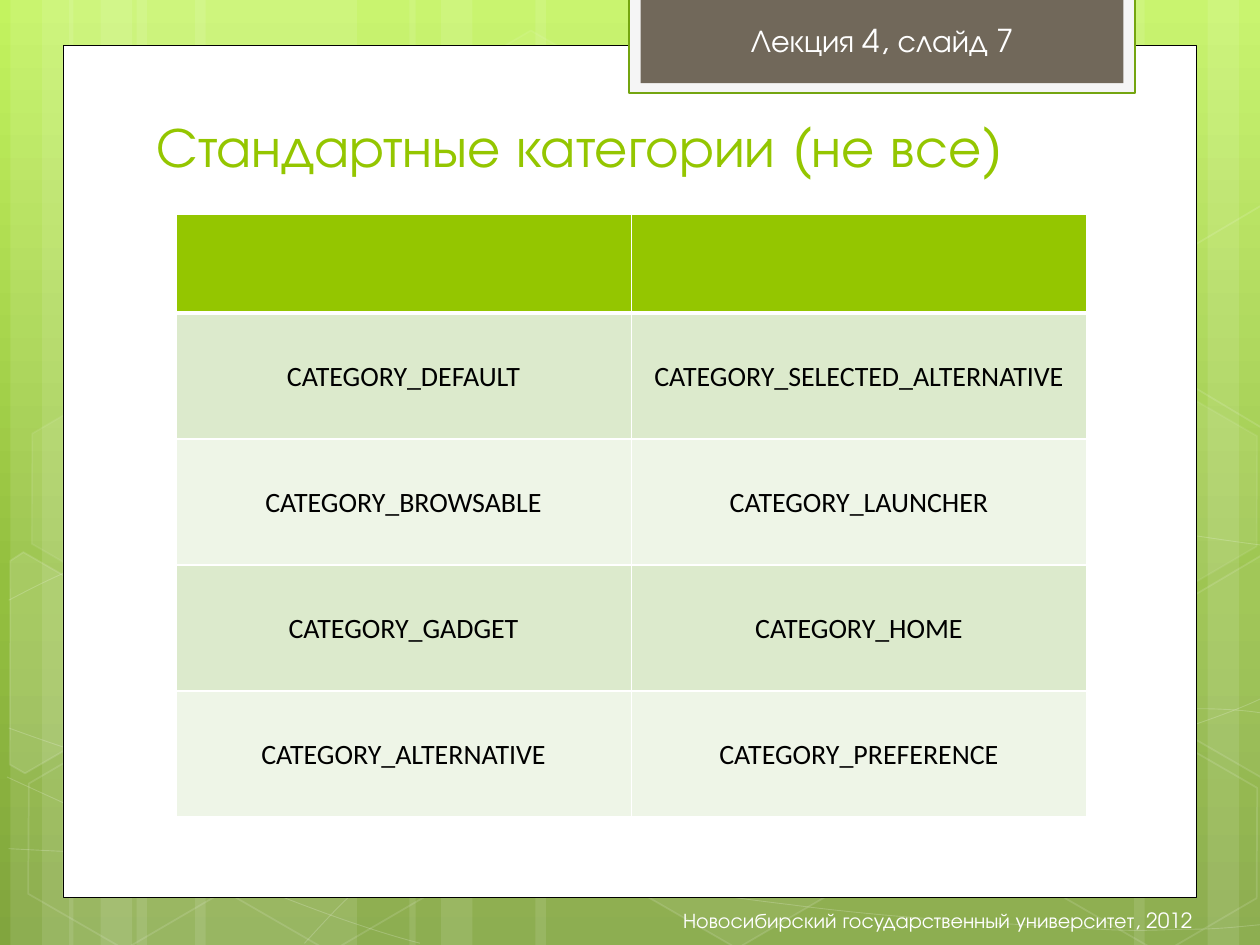
from copy import deepcopy
from math import cos, radians, sin
from lxml import etree
from pptx import Presentation
from pptx.dml.color import RGBColor
from pptx.enum.lang import MSO_LANGUAGE_ID
from pptx.enum.shapes import MSO_SHAPE
from pptx.enum.text import MSO_ANCHOR, MSO_AUTO_SIZE, PP_ALIGN
from pptx.oxml.ns import qn
from pptx.util import Pt

RECT, HEXAGON = MSO_SHAPE.RECTANGLE, MSO_SHAPE.HEXAGON
LEFT, CENTER, RIGHT = PP_ALIGN.LEFT, PP_ALIGN.CENTER, PP_ALIGN.RIGHT
TOP, MIDDLE, BOTTOM = MSO_ANCHOR.TOP, MSO_ANCHOR.MIDDLE, MSO_ANCHOR.BOTTOM
RUSSIAN = MSO_LANGUAGE_ID.RUSSIAN
FONT, CELL_FONT = "TeX Gyre Adventor", "Calibri"
WHITE, BLACK, GREEN = "FFFFFF", "000000", "94C600"

TITLE = "Стандартные категории (не все)"
LECTURE = "Лекция 4, слайд 7"
FOOTER = "Новосибирский государственный университет, 2012"
ROWS = [
    ("", ""),
    ("CATEGORY_DEFAULT", "CATEGORY_SELECTED_ALTERNATIVE"),
    ("CATEGORY_BROWSABLE", "CATEGORY_LAUNCHER"),
    ("CATEGORY_GADGET", "CATEGORY_HOME"),
    ("CATEGORY_ALTERNATIVE", "CATEGORY_PREFERENCE"),
]
BANDS = ["DCEACC", "EEF5E7"]
HEAD_H, ROW_H, COL_W = 56.5, 72, 260.25

SKY = [(0, "C3F35F"), (0.62, "93BF3F"), (1, "81A53E")]
# left, width, turn
STRIPES = [(78, 126, 0), (6, 36, 0), (24, 60, 0), (111.5, 126, 0), (39.5, 36, 0),
           (57.5, 60, 0), (528, 126, 180), (690, 36, 180), (648, 60, 180),
           (306, 222, 0), (234, 36, 0), (252, 60, 0)]
# start point, then two handles and an end point for each Bezier piece
CURVES = [
    [(5, 485), (44, 487), (83, 489), (137, 488), (191, 487), (258, 486), (330, 479),
     (402, 472), (504, 458), (570, 444), (636, 431), (703, 409), (725, 397)],
    [(5, 343), (26, 332), (47, 321), (87, 310), (128, 300), (186, 284), (250, 279),
     (314, 274), (392, 273), (471, 279), (550, 284), (682, 307), (725, 312)],
    [(4, 444), (91, 484), (178, 523), (240, 539)],
    [(5, 416), (27, 424), (50, 432), (92, 444), (134, 454), (197, 472), (257, 485),
     (317, 497), (392, 510), (452, 517), (512, 525), (576, 528), (614, 530),
     (652, 533), (662, 531), (680, 531), (699, 531), (712, 529), (725, 528)],
    [(174, 539), (187, 525), (200, 510), (217, 498), (235, 485), (259, 470), (279, 460),
     (300, 450), (312, 446), (338, 438), (364, 431), (413, 421), (438, 416),
     (464, 411), (467, 411), (490, 410), (512, 408), (547, 405), (572, 405),
     (597, 404), (638, 405), (638, 405), (654, 405), (670, 405), (686, 405),
     (699, 405), (711, 406), (718, 407), (724, 408), (722, 407), (724, 408)],
]
# left, top, fill opacity, line opacity
HEXES = [(240.5, 26, 4, 8), (358, 424, 6, 12), (8, 424.5, 0, 12), (10, 224.5, 7, 8),
         (125.5, 426, 0, 12), (542, 326, 10, 12), (600.5, 427, 0, 12), (600.5, 226, 7, 8)]
# fill opacity, centre, corners after the turn
CUT_HEXES = [
    (10, (25.92, 385.2), [(5.76, 320.4), (13.68, 315.36), (69.12, 347.04),
                          (68.4, 410.4), (14.4, 442.08), (5.76, 437.04)]),
    (4, (709.2, 374.4), [(666.72, 349.2), (720.72, 317.52), (726.48, 321.12),
                         (726.48, 441.36), (721.44, 444.24), (666.72, 412.56)]),
    (0, (709.2, 173.52), [(666.72, 149.04), (720.72, 117.36), (727.2, 120.96),
                          (726.48, 241.2), (721.44, 244.08), (666.72, 212.4)]),
]
TILT = 30


def paint(fill, color, alpha=100):
    """Fill with a solid colour at an opacity in percent."""
    fill.solid()
    fill.fore_color.rgb = RGBColor.from_string(color)
    if alpha < 100:
        tone = fill._xPr.find(".//" + qn("a:srgbClr"))
        etree.SubElement(tone, qn("a:alpha"), val=str(alpha * 1000))


def style(shape, fill=None, alpha=100, line=None, width=1, sheer=100):
    shape.shadow.inherit = False
    if fill and alpha:
        paint(shape.fill, fill, alpha)
    else:
        shape.fill.background()
    if line:
        shape.line.width = Pt(width)
        paint(shape.line.fill, line, sheer)
    else:
        shape.line.fill.background()


def add(kind, box, **look):
    shape = shapes.add_shape(kind, *map(Pt, box))
    style(shape, **look)
    return shape


def outline(points, closed, **look):
    pen = shapes.build_freeform(*points[0], scale=Pt(1))
    pen.add_line_segments(points[1:], close=closed)
    shape = pen.convert_to_shape()
    style(shape, **look)
    return shape


def bend(shape):
    """Join each three straight pieces into one Bezier piece."""
    route = shape._element.find(".//" + qn("a:path"))
    lines = route.findall(qn("a:lnTo"))
    for i in range(0, len(lines), 3):
        piece = etree.SubElement(route, qn("a:cubicBezTo"))
        for line in lines[i:i + 3]:
            piece.append(line[0])
            route.remove(line)


def unturn(point, mid):
    """Turn a point back by the tilt around a centre."""
    x, y = point[0] - mid[0], point[1] - mid[1]
    c, s = cos(radians(TILT)), sin(radians(TILT))
    return round(mid[0] + x * c + y * s, 2), round(mid[1] - x * s + y * c, 2)


def write(frame, text, size, color, font=FONT, align=LEFT, anchor=TOP):
    frame.vertical_anchor = anchor
    para = frame.paragraphs[0]
    para.alignment = align
    run = para.add_run()
    run.text = text
    run.font.size, run.font.name, run.font.bold = Pt(size), font, False
    run.font.language_id = RUSSIAN
    run.font.color.rgb = RGBColor.from_string(color)


def edge(cell, widths):
    """Draw white borders: left, right, top, bottom."""
    props = cell._tc.get_or_add_tcPr()
    for i, (side, width) in enumerate(zip("LRTB", widths)):
        line = etree.Element(qn("a:ln" + side), w=str(Pt(width)))
        solid = etree.SubElement(line, qn("a:solidFill"))
        etree.SubElement(solid, qn("a:srgbClr"), val=WHITE)
        props.insert(i, line)


deck = Presentation()
deck.slide_width, deck.slide_height = Pt(720), Pt(540)
slide = deck.slides.add_slide(deck.slide_layouts[5])
shapes = slide.shapes

sky = slide.background.fill
sky.gradient()
sky.gradient_angle = 270
stops = slide._element.find(".//" + qn("a:gsLst"))
stops.append(deepcopy(stops[-1]))
for stop, (spot, color) in zip(sky.gradient_stops, SKY):
    stop.position = spot
    stop.color.rgb = RGBColor.from_string(color)

for left, width, turn in STRIPES:
    add(RECT, (left, 0, width, 540), fill=WHITE, alpha=10).rotation = turn
for knots in CURVES:
    bend(outline(knots, False, line=WHITE, width=0.5, sheer=20))
for left, top, alpha, sheer in HEXES:
    tile = add(HEXAGON, (left, top, 126, 109.5), fill=WHITE, alpha=alpha,
               line=WHITE, sheer=sheer)
    tile.adjustments[0] = 0.285
    tile.rotation = TILT
for alpha, mid, corners in CUT_HEXES:
    flat = [unturn(corner, mid) for corner in corners]
    outline(flat, True, fill=WHITE, alpha=alpha, line=WHITE, sheer=12).rotation = TILT

add(RECT, (36, 26, 648, 487), fill=WHITE, line=BLACK, width=0.5)
add(RECT, (359.2, -1.5, 289.5, 54.7), fill="F5F5F5", line="74A510", width=1.25)
add(RECT, (366, -1.5, 276, 49), fill="71685A")

label = shapes.add_textbox(*map(Pt, (422, 8.6, 176.4, 29))).text_frame
label.word_wrap = False
write(label, LECTURE, 18, WHITE)
footer = shapes.add_textbox(*map(Pt, (286.5, 511, 402.3, 29))).text_frame
footer.word_wrap = True
write(footer, FOOTER, 12, WHITE, align=RIGHT, anchor=MIDDLE)

title = shapes.title
title.left, title.top, title.width, title.height = map(Pt, (82.2, 60.5, 553, 45.4))
title.text_frame.auto_size = MSO_AUTO_SIZE.NONE
write(title.text_frame, TITLE, 32, GREEN, anchor=BOTTOM)
shapes._spTree.append(title._element)

height = HEAD_H + ROW_H * (len(ROWS) - 1)
table = shapes.add_table(len(ROWS), 2, *map(Pt, (100.5, 122.4, 2 * COL_W, height))).table
for r, texts in enumerate(ROWS):
    table.rows[r].height = Pt(ROW_H if r else HEAD_H)
    for c, text in enumerate(texts):
        cell = table.cell(r, c)
        paint(cell.fill, BANDS[(r - 1) % 2] if r else GREEN)
        if r == 0:
            edge(cell, (1, 1, 1, 3))
        else:
            cell.margin_left = cell.margin_right = cell.margin_top = Pt(0.75)
            cell.margin_bottom = 0
            write(cell.text_frame, text, 16, BLACK, CELL_FONT, CENTER)
            cell.vertical_anchor = MIDDLE

deck.save("out.pptx")
